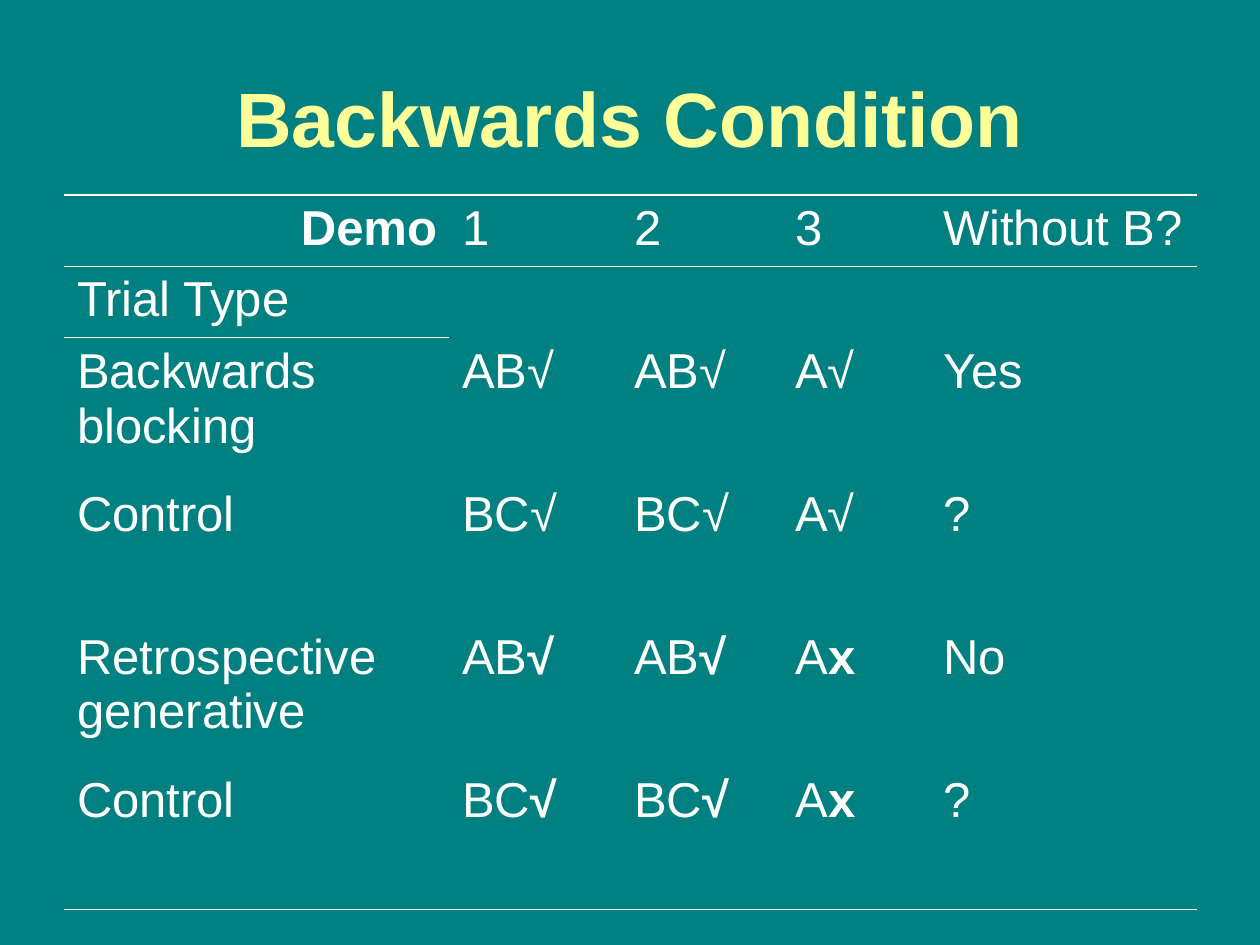
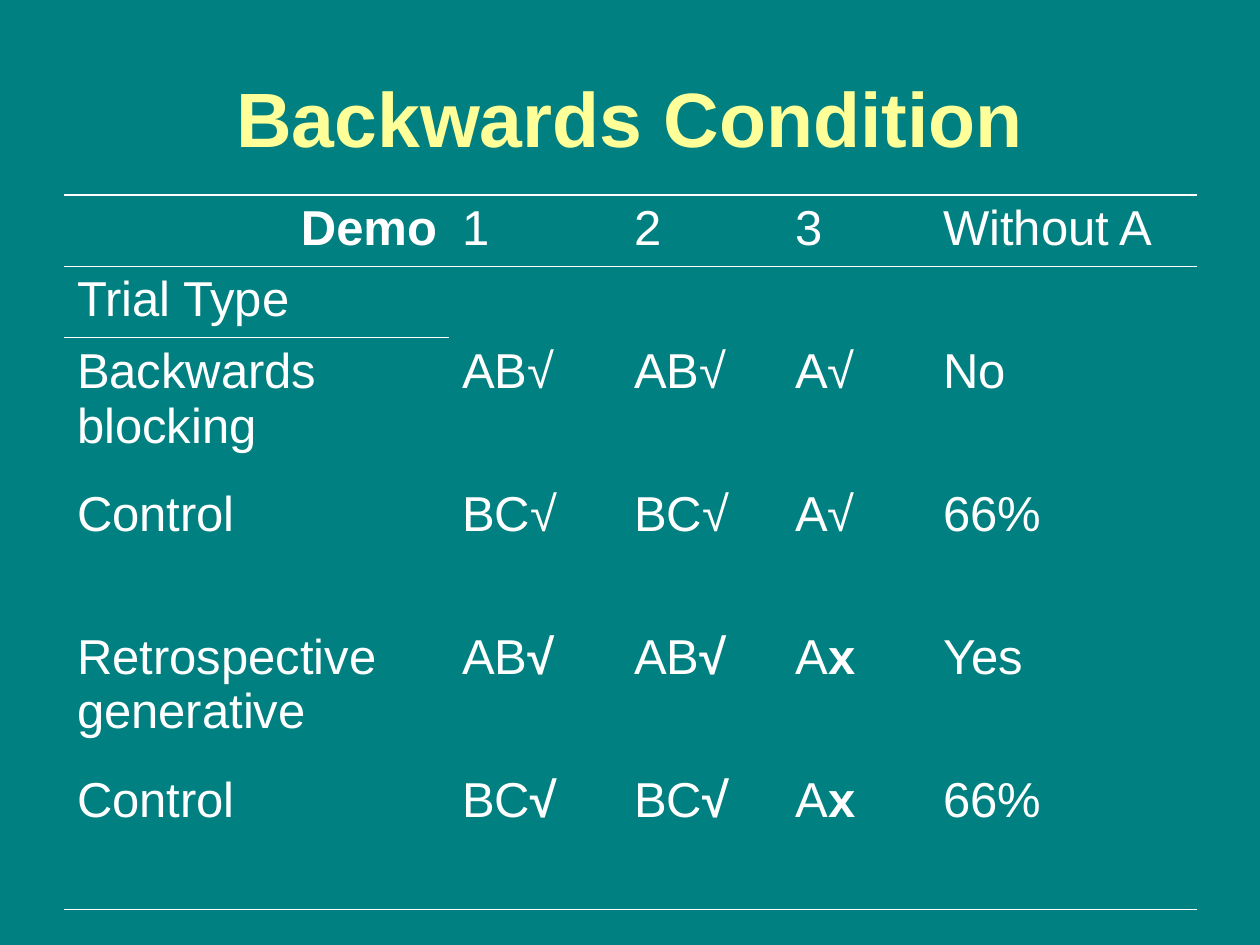
from lxml import etree
from pptx import Presentation
from pptx.dml.color import RGBColor
from pptx.enum.text import MSO_ANCHOR, PP_ALIGN
from pptx.oxml.ns import qn
from pptx.util import Cm, Pt

LEFT, CENTER, RIGHT = PP_ALIGN.LEFT, PP_ALIGN.CENTER, PP_ALIGN.RIGHT
MIDDLE = MSO_ANCHOR.MIDDLE
TITLE_ONLY = 5

COLORS = {"background": "008080", "title": "FFFF99", "text": "FFFFFF", "rule": "FFFFFF"}
FONT = "Arial"
HEAVY_RULE, FINE_RULE = 1.08, 0.45

COLUMN_WIDTHS = [7.76, 3.47, 3.25, 2.98, 5.36]
ROW_HEIGHTS = [1.44] * 2 + [2.88] * 4

# Text after a bar is bold
TRIALS = [
    ["|Demo", "1", "2", "3"],
    ["Trial Type", "", "", ""],
    ["Backwards blocking", "AB√", "AB√", "A√"],
    ["Control", "BC√", "BC√", "A√"],
    ["Retrospective generative", "AB|√", "AB|√", "A|x"],
    ["Control", "BC|√", "BC|√", "A|x"],
]
# Last column of the table on each slide
ANSWERS = [
    ["Without B?", "", "Yes", "?", "No", "?"],
    ["Without A", "", "No", "66%", "Yes", "66%"],
]


def write(frame, text, size=28, color="text", align=LEFT):
    """Fill a text frame; the part after a bar is bold."""
    paragraph = frame.paragraphs[0]
    paragraph.alignment = align
    plain, _, strong = text.partition("|")
    for part, bold in ((plain, False), (strong, True)):
        if part:
            run = paragraph.add_run()
            run.text = part
            run.font.name = FONT
            run.font.size = Pt(size)
            run.font.bold = bold
            run.font.color.rgb = RGBColor.from_string(COLORS[color])


def set_rules(cell, top, bottom):
    """Draw the cell's top and bottom rules and hide its other borders."""
    properties = cell._tc.get_or_add_tcPr()
    for side, width in (("L", 0), ("R", 0), ("T", top), ("B", bottom)):
        border = etree.SubElement(properties, qn(f"a:ln{side}"), w=str(Pt(width)))
        if width:
            fill = etree.SubElement(border, qn("a:solidFill"))
            etree.SubElement(fill, qn("a:srgbClr"), val=COLORS["rule"])
        else:
            etree.SubElement(border, qn("a:noFill"))


prs = Presentation()
prs.slide_width, prs.slide_height = Cm(25.4), Cm(19.05)

# Shared background
background = prs.slide_master.background.fill
background.solid()
background.fore_color.rgb = RGBColor.from_string(COLORS["background"])

for answers in ANSWERS:
    slide = prs.slides.add_slide(prs.slide_layouts[TITLE_ONLY])

    # Title
    title = slide.shapes.title
    title.left, title.top, title.width, title.height = Cm(1.27), Cm(0.76), Cm(22.86), Cm(3.18)
    title.text_frame.vertical_anchor = MIDDLE
    write(title.text_frame, "|Backwards Condition", size=44, color="title", align=CENTER)

    # Trial table
    trial_table = slide.shapes.add_table(
        len(ROW_HEIGHTS), len(COLUMN_WIDTHS), Cm(1.3), Cm(3.93),
        Cm(sum(COLUMN_WIDTHS)), Cm(sum(ROW_HEIGHTS))).table
    trial_table.first_row = trial_table.horz_banding = False
    for column, width in zip(trial_table.columns, COLUMN_WIDTHS):
        column.width = Cm(width)
    for row, height in zip(trial_table.rows, ROW_HEIGHTS):
        row.height = Cm(height)

    # Rule i lies above row i; the one under "Trial Type" spans only the first column
    for r, (trial, answer) in enumerate(zip(TRIALS, answers)):
        for c, text in enumerate(trial + [answer]):
            cell = trial_table.cell(r, c)
            rules = [HEAVY_RULE, FINE_RULE, 0 if c else FINE_RULE, 0, 0, 0, FINE_RULE]
            set_rules(cell, rules[r], rules[r + 1])
            cell.fill.background()
            write(cell.text_frame, text, align=RIGHT if r == c == 0 else LEFT)

prs.save("out.pptx")
